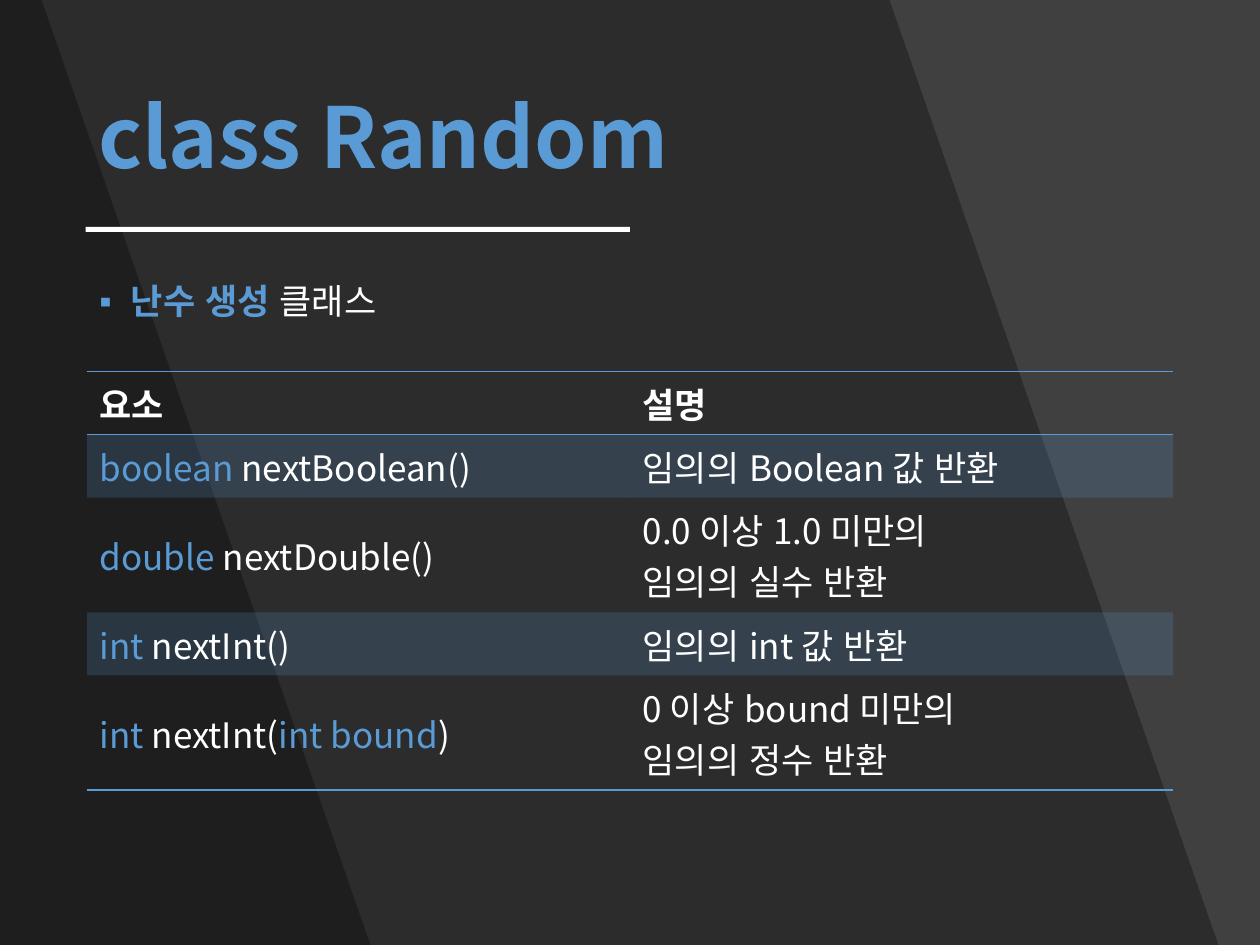
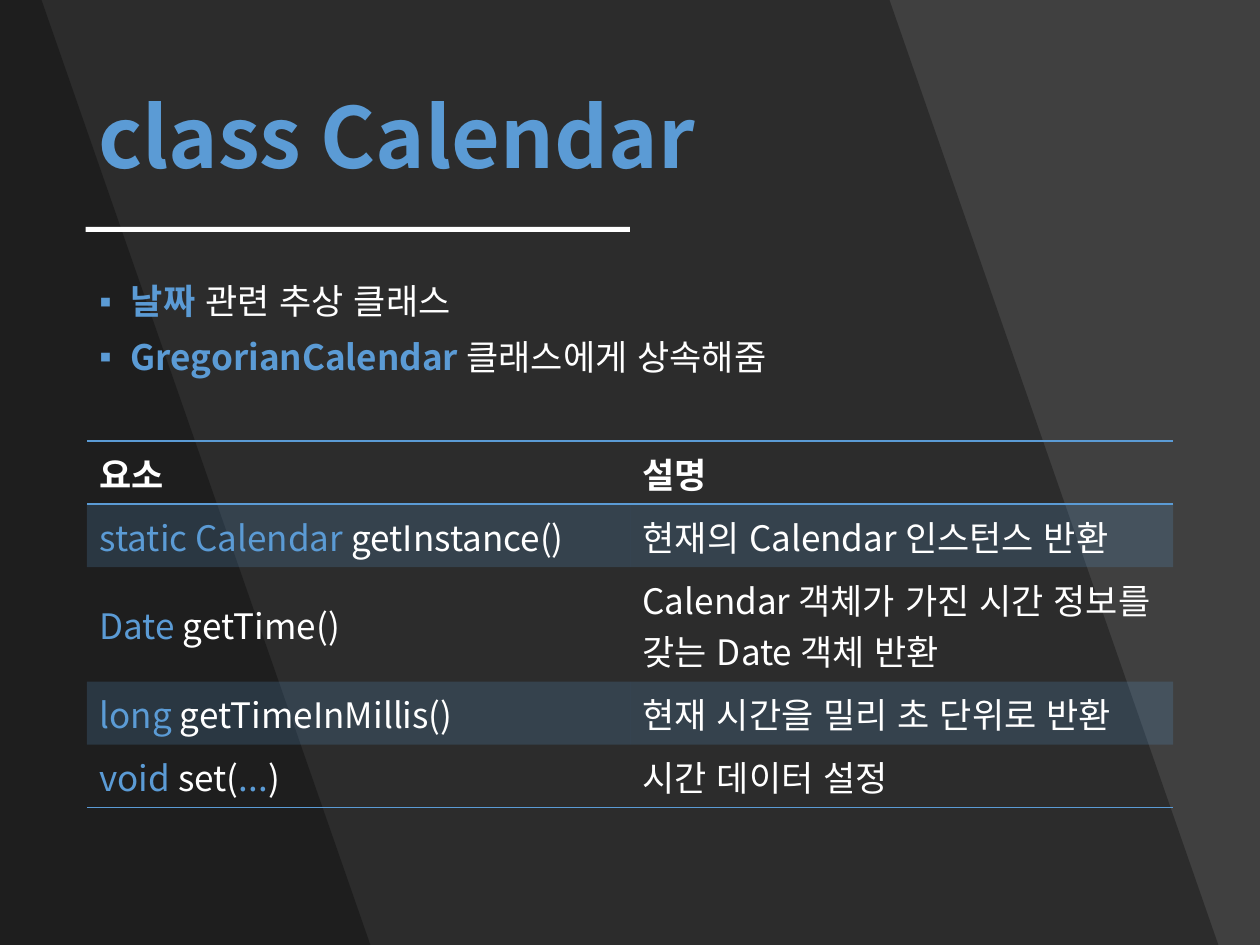
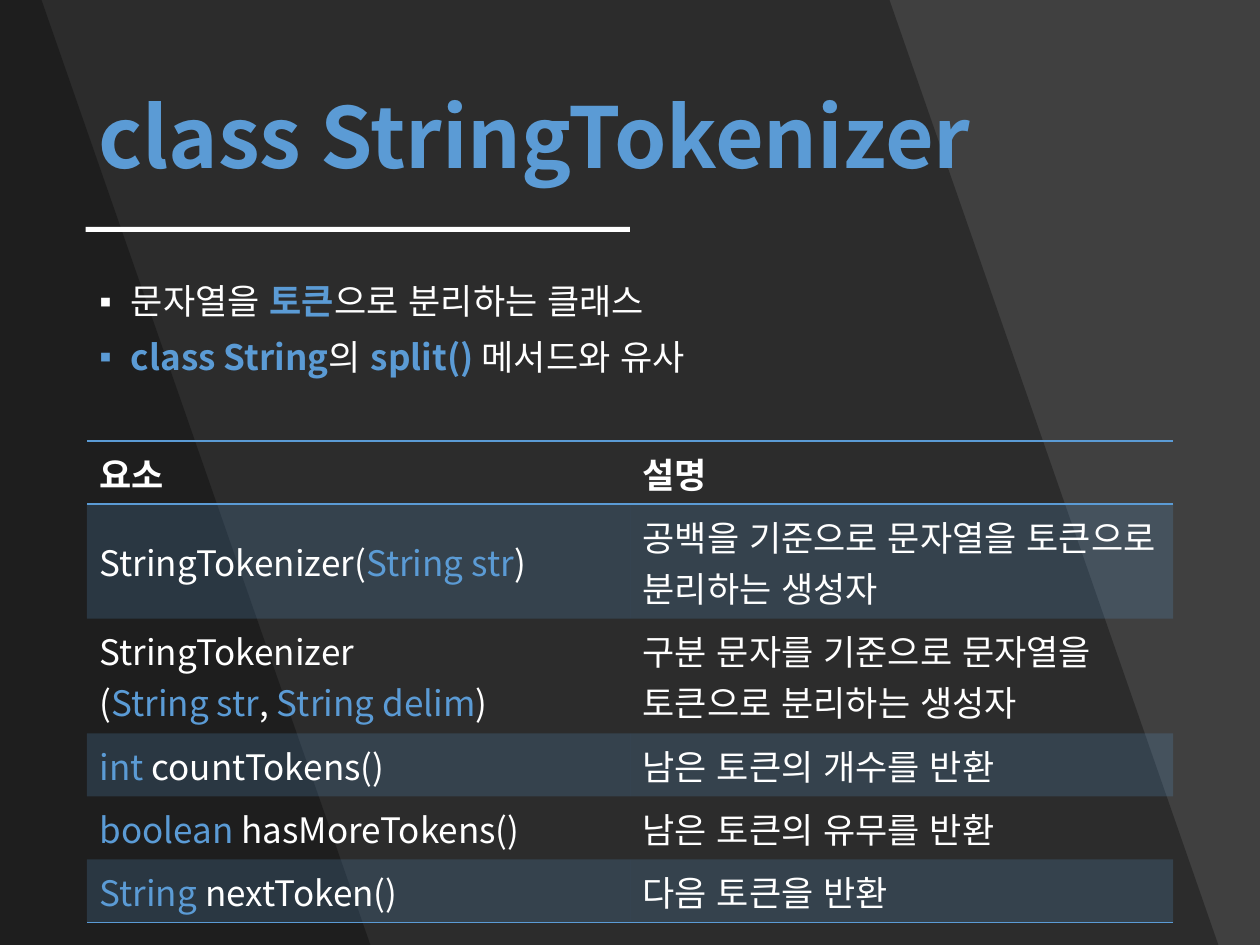
import lxml.etree
import pptx
import pptx.dml.color
import pptx.enum.lang
import pptx.enum.shapes
import pptx.enum.text
import pptx.oxml
import pptx.oxml.ns
import pptx.util

Inches, Pt = pptx.util.Inches, pptx.util.Pt
RGBColor = pptx.dml.color.RGBColor
MIDDLE = pptx.enum.text.MSO_ANCHOR.MIDDLE
KOREAN = pptx.enum.lang.MSO_LANGUAGE_ID.KOREAN
qn = pptx.oxml.ns.qn

BLACK = RGBColor(0x00, 0x00, 0x00)
WHITE = RGBColor(0xFF, 0xFF, 0xFF)
GRAY = RGBColor(0x40, 0x40, 0x40)
BLUE = RGBColor(0x5B, 0x9B, 0xD5)
FONT = "Noto Sans CJK KR"
BULLET_FONT = "Arial"
NO_STYLE = "{2D5ABB26-0587-4C30-8999-92F81FD0307C}"
BORDER = ('<a:{tag} xmlns:a="http://schemas.openxmlformats.org/drawingml/2006/main" w="12700">'
          '<a:solidFill><a:srgbClr val="{color}"/></a:solidFill></a:{tag}>')

# Right edge of each dark band at the top and at the bottom
BANDS = [(7.06, 9.67), (0.33, 2.94)]
# Row height by number of text lines
ROW_HEIGHT = {1: 0.5, 2: 0.91}

# In every text, the parts between bars are blue and "\n" starts a paragraph.
# A table row is its number of lines, the element and the description.
HEADER = (1, "요소", "설명")
SLIDES = [
    ("class Random", "|난수 생성 |클래스", 2.95, [
        (1, "|boolean |nextBoolean()", "임의의 Boolean 값 반환"),
        (2, "|double |nextDouble()", "0.0 이상 1.0 미만의\n임의의 실수 반환"),
        (1, "|int |nextInt()", "임의의 int 값 반환"),
        (2, "|int |nextInt(|int bound|)", "0 이상 bound 미만의\n임의의 정수 반환"),
    ]),
    ("class Calendar",
     "|날짜| 관련 추상 클래스\n|GregorianCalendar |클래스에게 상속해줌", 3.5, [
         (1, "|static Calendar |getInstance()", "현재의 Calendar 인스턴스 반환"),
         (2, "|Date |getTime()", "Calendar 객체가 가진 시간 정보를 갖는 Date 객체 반환"),
         (1, "|long |getTimeInMillis()", "현재 시간을 밀리 초 단위로 반환"),
         (1, "|void| set(|...|)", "시간 데이터 설정"),
     ]),
    ("class StringTokenizer",
     "문자열을 |토큰|으로 분리하는 클래스\n|class String|의 |split() |메서드와 유사", 3.5, [
         (2, "StringTokenizer(|String str|)", "공백을 기준으로 문자열을 토큰으로 분리하는 생성자"),
         (2, "StringTokenizer\n(|String str|, |String delim|)",
          "구분 문자를 기준으로 문자열을 토큰으로 분리하는 생성자"),
         (1, "|int |countTokens()", "남은 토큰의 개수를 반환"),
         (1, "|boolean |hasMoreTokens()", "남은 토큰의 유무를 반환"),
         (1, "|String |nextToken()", "다음 토큰을 반환"),
     ]),
]


def write(tf, text, size=20, bold=False, bold_blue=False):
    """Fill a text frame run by run, with the parts between bars in blue."""
    tf.word_wrap = True
    for i, line in enumerate(text.split("\n")):
        p = tf.paragraphs[0] if i == 0 else tf.add_paragraph()
        for j, part in enumerate(line.split("|")):
            if not part:
                continue
            blue = j % 2 == 1
            r = p.add_run()
            r.text = part
            r.font.size = Pt(size)
            r.font.name = FONT
            r.font.language_id = KOREAN
            r.font.bold = bold or (blue and bold_blue)
            r.font.color.rgb = BLUE if blue else WHITE
            ea = lxml.etree.SubElement(r.font._element, qn("a:ea"))
            ea.set("typeface", FONT)


def tint(fill, color, percent):
    """Give a fill a solid colour with the given opacity."""
    fill.solid()
    fill.fore_color.rgb = color
    srgb = fill._xPr.find(qn("a:solidFill")).find(qn("a:srgbClr"))
    lxml.etree.SubElement(srgb, qn("a:alpha")).set("val", str(percent * 1000))


prs = pptx.Presentation()
prs.slide_width, prs.slide_height = Inches(10), Inches(7.5)
background = prs.slide_master.background.fill
background.solid()
background.fore_color.rgb = GRAY

for title, bullets, table_top, rows in SLIDES:
    s = prs.slides.add_slide(prs.slide_layouts[6])

    # Slanted bands
    for top_edge, bottom_edge in BANDS:
        outline = s.shapes.build_freeform(0, 0)
        outline.add_line_segments([(Inches(top_edge), 0), (Inches(bottom_edge), Inches(7.5)),
                                   (0, Inches(7.5))])
        sp = outline.convert_to_shape()
        sp.shadow.inherit = False
        sp.line.fill.background()
        tint(sp.fill, BLACK, 30)

    # Title and the rule under it
    tf = s.shapes.add_textbox(Inches(0.68), Inches(0.4), Inches(8.63), Inches(1.45)).text_frame
    tf.vertical_anchor = MIDDLE
    write(tf, "|" + title, size=48, bold=True)
    tf.paragraphs[0].line_spacing = 0.9
    sp = s.shapes.add_shape(pptx.enum.shapes.MSO_SHAPE.RECTANGLE,
                            Inches(0.68), Inches(1.8), Inches(4.32), Inches(0.04))
    sp.shadow.inherit = False
    sp.fill.solid()
    sp.fill.fore_color.rgb = WHITE
    sp.line.fill.background()

    # Bullets
    tf = s.shapes.add_textbox(Inches(0.69), Inches(2.21), Inches(8.62), Inches(4.54)).text_frame
    write(tf, bullets, bold_blue=True)
    for p in tf.paragraphs:
        p.line_spacing = 0.9
        p.space_before = Pt(10)
        pPr = p._p.get_or_add_pPr()
        pPr.set("marL", str(Inches(0.25)))
        pPr.set("indent", str(-Inches(0.25)))
        lxml.etree.SubElement(pPr, qn("a:buFont")).set("typeface", BULLET_FONT)
        lxml.etree.SubElement(pPr, qn("a:buChar")).set("char", "▪")

    # Table: lines around the header and at the end, every other row tinted
    cells = [HEADER] + rows
    heights = [ROW_HEIGHT[lines] for lines, *_ in cells]
    table = s.shapes.add_table(len(cells), 2, Inches(0.69), Inches(table_top),
                               Inches(8.62), Inches(sum(heights))).table
    table.first_row = table.horz_banding = False
    table._tbl.tblPr.find(qn("a:tableStyleId")).text = NO_STYLE
    for i, (lines, *texts) in enumerate(cells):
        table.rows[i].height = Inches(heights[i])
        for j, text in enumerate(texts):
            cell = table.cell(i, j)
            cell.vertical_anchor = MIDDLE
            write(cell.text_frame, text, bold=i == 0)
            if i % 2:
                tint(cell.fill, BLUE, 20)
            else:
                cell.fill.background()
            tags = {0: ["lnT", "lnB"], len(cells) - 1: ["lnB"]}.get(i, [])
            for k, tag in enumerate(tags):
                border = pptx.oxml.parse_xml(BORDER.format(tag=tag, color=BLUE))
                cell._tc.get_or_add_tcPr().insert(k, border)

prs.save("out.pptx")
